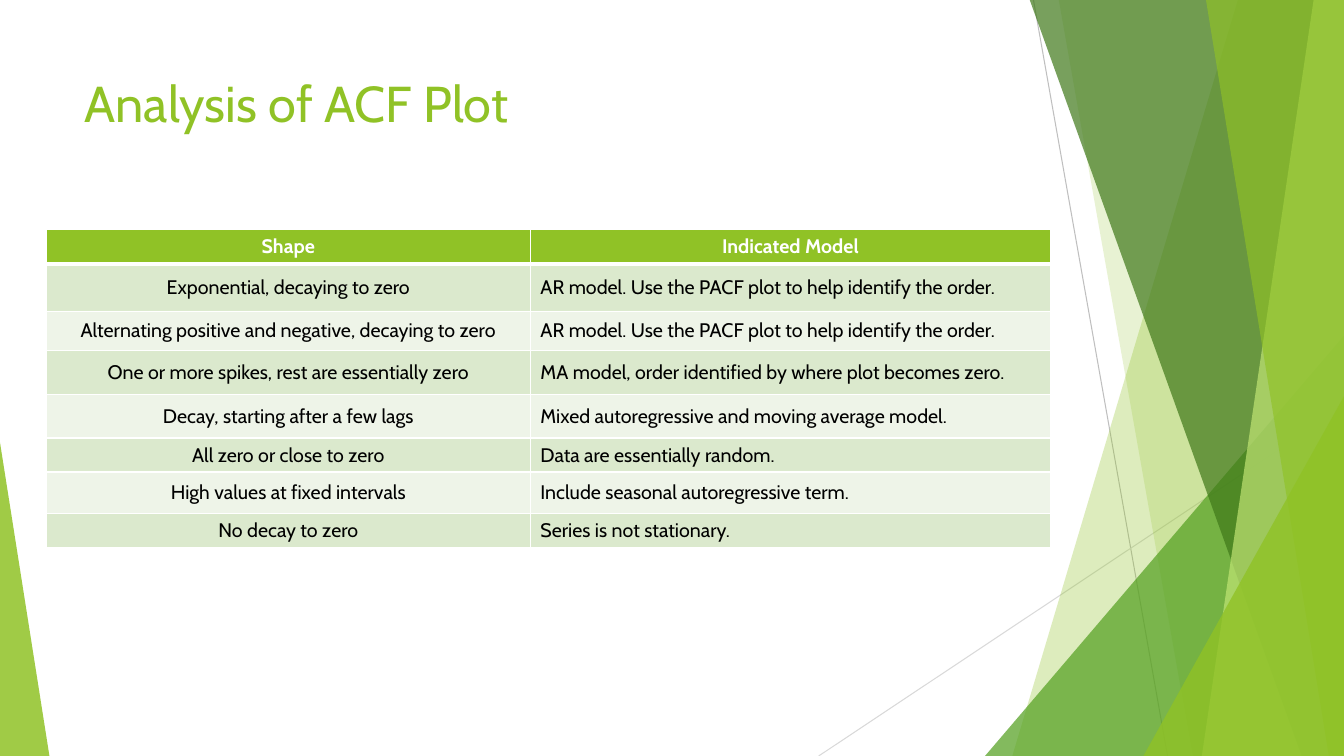
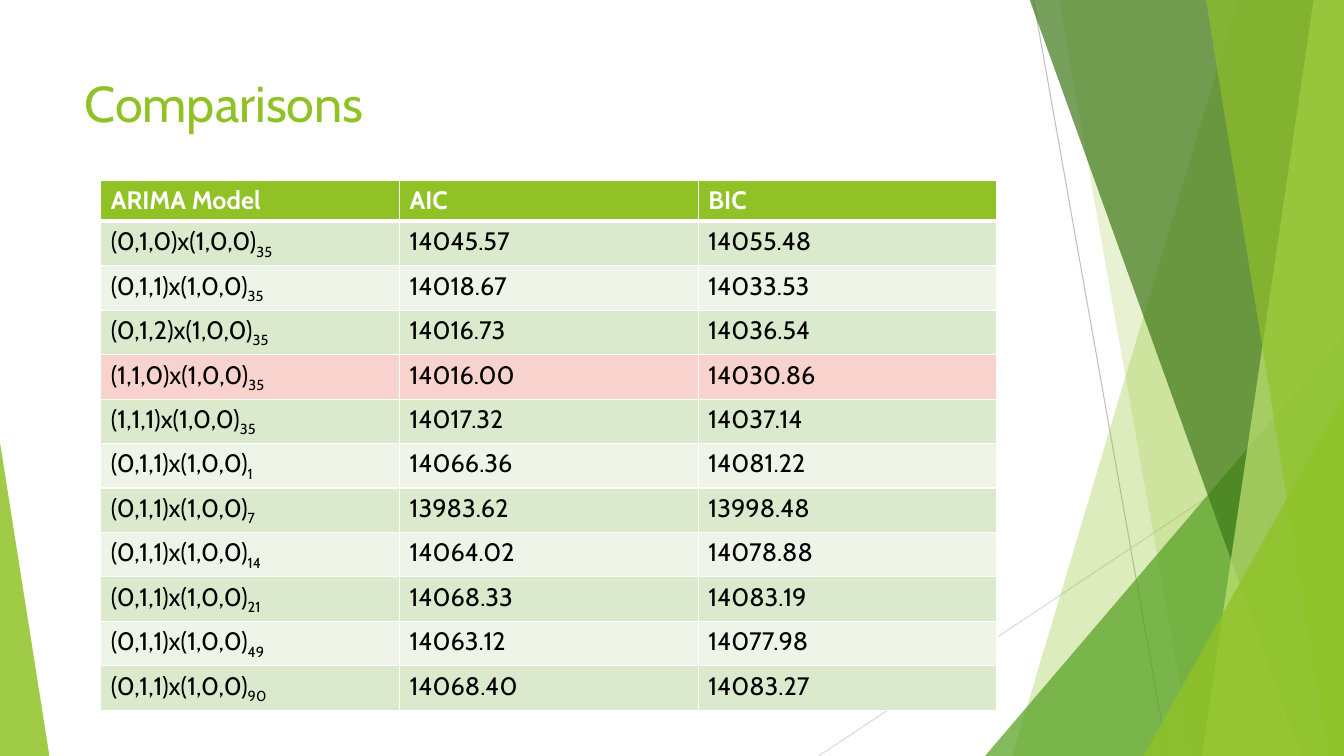
from dataclasses import dataclass

from lxml import etree
from pptx import Presentation
from pptx.dml.color import RGBColor
from pptx.enum.shapes import MSO_CONNECTOR, MSO_SHAPE
from pptx.enum.text import MSO_ANCHOR, PP_ALIGN
from pptx.oxml.ns import qn
from pptx.util import Inches, Pt

STRAIGHT = MSO_CONNECTOR.STRAIGHT
TRIANGLE = MSO_SHAPE.ISOSCELES_TRIANGLE
TOP, MIDDLE = MSO_ANCHOR.TOP, MSO_ANCHOR.MIDDLE
LEFT, CENTER = PP_ALIGN.LEFT, PP_ALIGN.CENTER


@dataclass(frozen=True)
class Theme:
    font: str = "Cabin"
    lime: str = "90C226"
    green: str = "54A021"
    forest: str = "3F7819"
    pale_lime: str = "C0E474"
    gray: str = "BFBFBF"
    light_gray: str = "D9D9D9"
    white: str = "FFFFFF"
    black: str = "000000"
    bands: tuple = ("DBE9CD", "EEF4E8")
    highlight: str = "F8D2CC"
    title_size: int = 36
    model_size: int = 14
    score_size: int = 18


theme = Theme()


def style_text(para, size, color, bold=False):
    for span in para.runs:
        span.font.name = theme.font
        span.font.size = Pt(size)
        span.font.bold = bold
        span.font.color.rgb = RGBColor.from_string(color)


def add_grid(page, place, rows, size, anchor, alignments, highlighted=None):
    """Add a banded table; an underscore in a cell starts a subscript."""
    box = page.shapes.add_table(len(rows), len(rows[0]), *map(Inches, place))
    table = box.table
    table.first_row = table.horz_banding = False
    for row, texts in enumerate(rows):
        header = row == 0
        if header:
            fill = theme.lime
        elif row == highlighted:
            fill = theme.highlight
        else:
            fill = theme.bands[(row - 1) % 2]
        for column, text in enumerate(texts):
            cell = table.cell(row, column)
            cell.vertical_anchor = anchor

            # Borders come before the fill in the cell properties
            properties = cell._tc.get_or_add_tcPr()
            for side in ("lnL", "lnR", "lnT", "lnB"):
                thick = (row, side) in ((0, "lnB"), (1, "lnT"))
                border = etree.SubElement(properties, qn(f"a:{side}"), w=str(Pt(3 if thick else 1)))
                paint = etree.SubElement(border, qn("a:solidFill"))
                etree.SubElement(paint, qn("a:srgbClr"), val=theme.white)
            cell.fill.solid()
            cell.fill.fore_color.rgb = RGBColor.from_string(fill)

            # Text, with its subscript if there is one
            base, _, subscript = text.partition("_")
            para = cell.text_frame.paragraphs[0]
            para.text = base
            para.alignment = CENTER if header and anchor == MIDDLE else alignments[column]
            if subscript:
                span = para.add_run()
                span.text = subscript
                span._r.get_or_add_rPr().set("baseline", "-25000")
            style_text(para, size, theme.white if header else theme.black, header)
    return table


deck = Presentation()
deck.slide_width, deck.slide_height = Inches(13.33), Inches(7.5)
layout = deck.slide_layouts[5]

# Shared title position
layout_title = layout.placeholders[0]
layout_title.left, layout_title.top = Inches(0.74), Inches(0.67)
layout_title.width, layout_title.height = Inches(9.4), Inches(1.44)
layout_title.text_frame.vertical_anchor = TOP

# Pages and titles
pages = []
for title in ("Analysis of ACF Plot", "Comparisons"):
    page = deck.slides.add_slide(layout)
    page.shapes.title.text_frame.text = title
    para = page.shapes.title.text_frame.paragraphs[0]
    para.alignment = LEFT
    style_text(para, theme.title_size, theme.lime)
    pages.append(page)
acf_page, comparison_page = pages

# Shared decoration: thin lines
decoration = acf_page.shapes.add_group_shape()
for ends, color in (
    ((10.25, 0, 11.58, 7.5), theme.gray),
    ((13.33, 4.03, 8.12, 7.5), theme.light_gray),
):
    line = decoration.shapes.add_connector(STRAIGHT, *map(Inches, ends))
    line.line.color.rgb = RGBColor.from_string(color)
    line.line.width = Pt(0.75)
    etree.SubElement(line.element.spPr, qn("a:effectLst"))

# Shared decoration: bands (top and bottom of the slanted side) and
# triangles (left, top, width, height, apex), from back to front
for kind, measures, color, opacity in (
    ("band", (12.28, 10.04), theme.lime, 30),
    ("band", (10.5, 11.83), theme.lime, 20),
    ("triangle", (9.77, 3.33, 3.56, 4.17, 1), theme.green, 72),
    ("band", (10.21, 12.91), theme.forest, 70),
    ("band", (13.03, 11.92), theme.pale_lime, 70),
    ("band", (11.96, 13.18), theme.lime, 65),
    ("triangle", (11.34, 3.93, 1.99, 3.57, 1), theme.lime, 80),
    ("triangle", (0, 4.39, 0.49, 3.11, 0), theme.lime, 85),
):
    if kind == "band":
        top_x, bottom_x = measures
        corners = [(top_x, -0.01), (13.33, -0.01), (13.33, 7.5), (bottom_x, 7.5)]
        points = [(Inches(x), Inches(y)) for x, y in corners]
        outline = decoration.shapes.build_freeform(*points[0])
        outline.add_line_segments(points[1:], close=True)
        facet = outline.convert_to_shape()
    else:
        *place, apex = measures
        facet = decoration.shapes.add_shape(TRIANGLE, *map(Inches, place))
        facet.adjustments[0] = apex
    facet.shadow.inherit = False
    facet.line.fill.background()
    facet.fill.solid()
    facet.fill.fore_color.rgb = RGBColor.from_string(color)
    tint = facet.element.spPr.find(qn("a:solidFill")).find(qn("a:srgbClr"))
    etree.SubElement(tint, qn("a:alpha"), val=str(opacity * 1000))

# Move the decoration to the layout, behind its placeholders
for number, properties in enumerate(decoration.element.iter(qn("p:cNvPr")), 100):
    properties.set("id", str(number))
layout.shapes.element.insert(2, decoration.element)

# Table of shapes and models
shape_rows = [
    ("Shape", "Indicated Model"),
    ("Exponential, decaying to zero", "AR model. Use the PACF plot to help identify the order."),
    ("Alternating positive and negative, decaying to zero",
     "AR model. Use the PACF plot to help identify the order."),
    ("One or more spikes, rest are essentially zero",
     "MA model, order identified by where plot becomes zero."),
    ("Decay, starting after a few lags", "Mixed autoregressive and moving average model."),
    ("All zero or close to zero", "Data are essentially random."),
    ("High values at fixed intervals", "Include seasonal autoregressive term."),
    ("No decay to zero", "Series is not stationary."),
]
shape_table = add_grid(acf_page, (0.46, 2.28, 9.96, 3.14), shape_rows,
                       theme.model_size, MIDDLE, (CENTER, LEFT))
for column, width in zip(shape_table.columns, (4.8, 5.16)):
    column.width = Inches(width)
for row, height in zip(shape_table.rows, (0.33, 0.47, 0.39, 0.44, 0.43, 0.33, 0.41, 0.33)):
    row.height = Inches(height)

# Table of scores, with the chosen model highlighted
score_rows = [
    ("ARIMA Model", "AIC", "BIC"),
    ("(0,1,0)x(1,0,0)_35", "14045.57", "14055.48"),
    ("(0,1,1)x(1,0,0)_35", "14018.67", "14033.53"),
    ("(0,1,2)x(1,0,0)_35", "14016.73", "14036.54"),
    ("(1,1,0)x(1,0,0)_35", "14016.00", "14030.86"),
    ("(1,1,1)x(1,0,0)_35", "14017.32", "14037.14"),
    ("(0,1,1)x(1,0,0)_1", "14066.36", "14081.22"),
    ("(0,1,1)x(1,0,0)_7", "13983.62", "13998.48"),
    ("(0,1,1)x(1,0,0)_14", "14064.02", "14078.88"),
    ("(0,1,1)x(1,0,0)_21", "14068.33", "14083.19"),
    ("(0,1,1)x(1,0,0)_49", "14063.12", "14077.98"),
    ("(0,1,1)x(1,0,0)_90", "14068.40", "14083.27"),
]
add_grid(comparison_page, (1, 1.79, 8.89, 4.87), score_rows,
         theme.score_size, TOP, (LEFT, LEFT, LEFT), highlighted=4)

deck.save("out.pptx")
